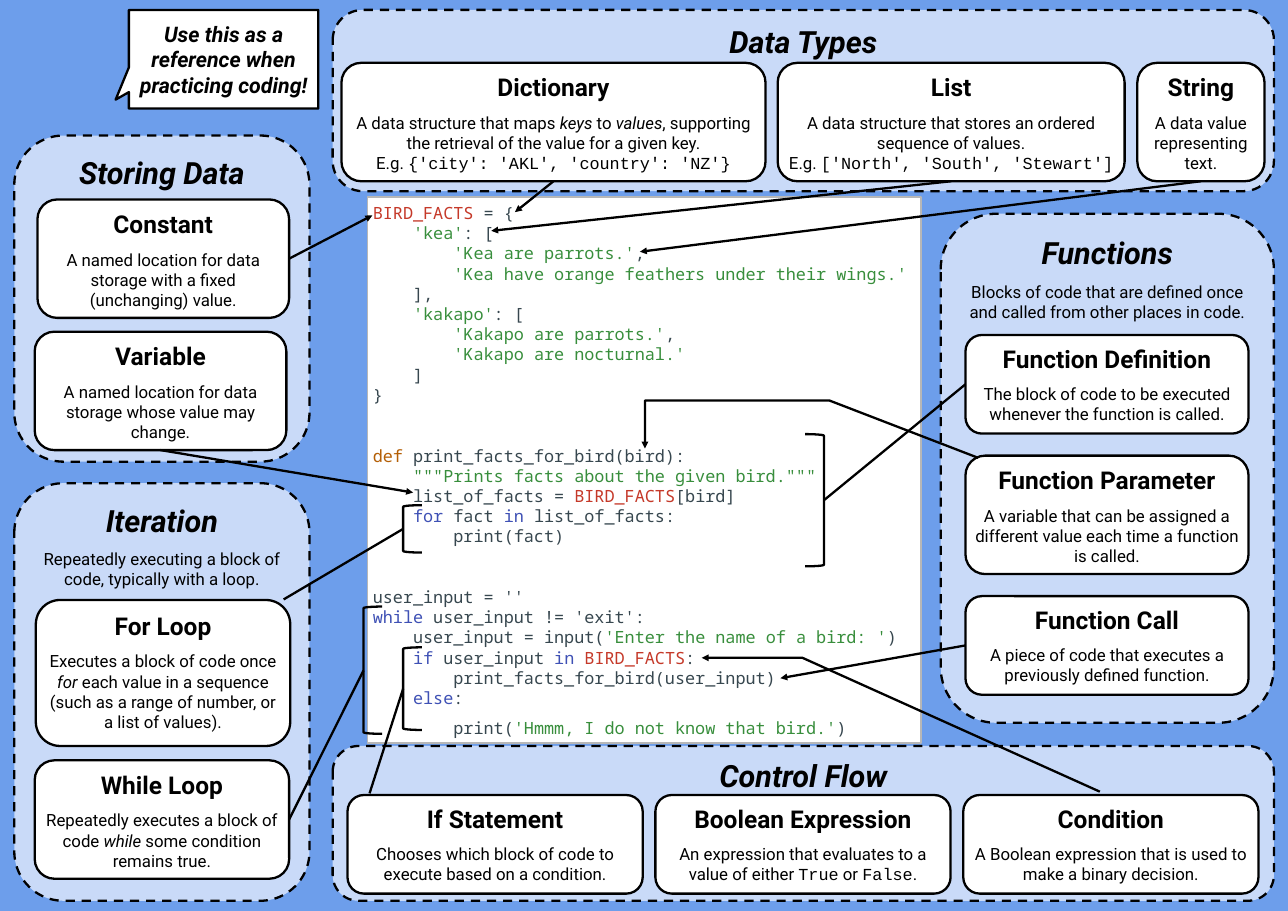
from lxml.etree import SubElement
from pptx import Presentation
from pptx.dml.color import RGBColor
from pptx.enum.dml import MSO_LINE
from pptx.enum.shapes import MSO_CONNECTOR, MSO_SHAPE
from pptx.enum.text import MSO_ANCHOR, PP_ALIGN
from pptx.oxml.ns import qn
from pptx.util import Inches, Pt

A2 = (594 / 25.4, 420 / 25.4)
BLACK, WHITE, BACK, PALE, GREY = "000000", "FFFFFF", "6D9EEB", "C9DAF8", "B7B7B7"
PLAIN, GREEN, RED, BROWN, BLUE = "37474F", "388E3C", "C53929", "B45F06", "3F51B5"
WORDS = {"BIRD_FACTS": RED, "def": BROWN}
TOP, LEFT, BOTTOM, RIGHT = range(4)

# Bars enclose the coloured parts of each line.
CODE = """|BIRD_FACTS| = {
    |'kea'|: [
        |'Kea are parrots.'|,
        |'Kea have orange feathers under their wings.'|
    ],
    |'kakapo'|: [
        |'Kakapo are parrots.'|,
        |'Kakapo are nocturnal.'|
    ]
}

|def| print_facts_for_bird(bird):
    |\"\"\"Prints facts about the given bird.\"\"\"|
    list_of_facts = |BIRD_FACTS|[bird]
    |for| fact |in| list_of_facts:
        print(fact)

user_input = ''
|while| user_input != 'exit':
    user_input = input(|'Enter the name of a bird: '|)
    |if| user_input |in| |BIRD_FACTS|:
        print_facts_for_bird(user_input)
    |else|:
        print(|'Hmmm, I do not know that bird.'|)"""

# Asterisks enclose italics, backticks enclose fixed-width text.
CARDS = [
    ("Dictionary", (6.2, 1.14, 7.7, 2.15),
     ["A data structure that maps *keys* to *values*, supporting the retrieval of the value for a given key.",
      "E.g. `{'city': 'AKL', 'country': 'NZ'}`"]),
    ("List", (14.12, 1.14, 6.3, 2.15),
     ["A data structure that stores an ordered sequence of values.",
      "E.g. `['North', 'South', 'Stewart']`"]),
    ("String", (20.65, 1.14, 2.31, 2.15), ["A data value representing text."]),
    ("Constant", (0.68, 3.62, 4.57, 2.15),
     ["A named location for data storage with a fixed (unchanging) value."]),
    ("Variable", (0.63, 6.02, 4.57, 2.15),
     ["A named location for data storage whose value may change."]),
    ("For Loop", (0.65, 10.89, 4.62, 2.65),
     ["Executes a block of code once *for* each value in a sequence "
      "(such as a range of number, or a list of values)."]),
    ("While Loop", (0.63, 13.8, 4.62, 2.15),
     ["Repeatedly executes a block of code *while* some condition remains true."]),
    ("Function Definition", (17.53, 6.08, 5.14, 1.79),
     ["The block of code to be executed whenever the function is called."]),
    ("Function Parameter", (17.53, 8.27, 5.14, 2.15),
     ["A variable that can be assigned a different value each time a function is called."]),
    ("Function Call", (17.53, 10.82, 5.14, 1.79),
     ["A piece of code that executes a previously defined function."]),
]
FLOW = [
    ("If Statement", "Chooses which block of code to execute based on a condition."),
    ("Boolean Expression", "An expression that evaluates to a value of either `True` or `False`."),
    ("Condition", "A Boolean expression that is used to make a binary decision."),
]
PANELS = [
    ("Control Flow", (6.04, 13.54, 17.09, 2.81), []),
    ("Functions", (17.08, 3.88, 6.05, 9.24),
     ["Blocks of code that are defined once and called from other places in code."]),
    ("Data Types", (6.04, 0.18, 17.09, 3.29), []),
    ("Iteration", (0.26, 8.77, 5.36, 7.58),
     ["Repeatedly executing a block of code, typically with a loop."]),
    ("Storing Data", (0.26, 2.46, 5.36, 5.92), []),
]
LINKS = [
    ("While Loop", RIGHT, (6.6, 12.17), False),
    ("Variable", BOTTOM, (7.5, 8.94), True),
    ("Constant", RIGHT, (6.76, 3.91), True),
    ("Dictionary", BOTTOM, (9.35, 3.85), True),
    ("List", BOTTOM, (8.92, 4.19), True),
    ("String", BOTTOM, (11.62, 4.57), True),
    ("Function Call", LEFT, (14.17, 12.31), True),
    ("Function Definition", LEFT, (14.96, 9.08), False),
]


def paint(hue):
    return RGBColor.from_string(hue)


def units(nums):
    return [Inches(n) for n in nums]


class Sheet:
    font, mono, fixed = "Roboto", "Courier New", "Noto Sans Mono"
    size, pen = 22, 3

    def __init__(self, slide):
        self.shapes = slide.shapes

    def trim(self, item, hue=BLACK, width=pen, head=False):
        """Set the outline and, if asked, an arrowhead at its end."""
        item.line.color.rgb = paint(hue)
        item.line.width = Pt(width)
        if head:
            line = item._element.spPr.find(qn("a:ln"))
            SubElement(line, qn("a:tailEnd"), type="triangle")

    def shape(self, kind, box, fill=None, **trim):
        item = self.shapes.add_shape(kind, *units(box))
        item.shadow.inherit = False
        if fill:
            item.fill.solid()
            item.fill.fore_color.rgb = paint(fill)
        else:
            item.fill.background()
        self.trim(item, **trim)
        return item

    def frame(self, item, pad=0.07, anchor=MSO_ANCHOR.TOP):
        text = item.text_frame
        text.word_wrap = True
        text.vertical_anchor = anchor
        text.margin_left = text.margin_right = Inches(pad)
        text.margin_top = text.margin_bottom = Inches(pad)
        return text

    def style(self, para, size, name=font, hue=BLACK, align=PP_ALIGN.CENTER):
        para.alignment = align
        font = para.font
        font.size, font.name, font.color.rgb = Pt(size), name, paint(hue)
        return font

    def title(self, text, words, size, slant):
        para = text.paragraphs[0]
        para.text = words
        font = self.style(para, size)
        font.bold, font.italic = True, slant

    def body(self, text, lines):
        for at, line in enumerate(lines):
            para = text.add_paragraph()
            if at == 0:
                para.space_before = Pt(14)
            self.style(para, self.size)
            mark = "`" if "`" in line else "*"
            for turn, part in enumerate(line.split(mark)):
                run = para.add_run()
                run.text = part
                if turn % 2 and mark == "`":
                    run.font.name = self.mono
                elif turn % 2:
                    run.font.italic = True

    def panel(self, name, box, lines):
        item = self.shape(MSO_SHAPE.ROUNDED_RECTANGLE, box, PALE)
        item.line.dash_style = MSO_LINE.DASH
        text = self.frame(item)
        self.title(text, name, 40, True)
        self.body(text, lines)

    def card(self, name, box, lines):
        item = self.shape(MSO_SHAPE.ROUNDED_RECTANGLE, box, WHITE)
        text = self.frame(item)
        self.title(text, name, 32, False)
        self.body(text, lines)
        return item

    def code(self, box, lines):
        item = self.shape(MSO_SHAPE.RECTANGLE, box, WHITE, hue=GREY, width=2.25)
        text = self.frame(item, 0.1)
        para, gap = text.paragraphs[0], False
        for at, line in enumerate(lines):
            if not line:
                gap = True
                continue
            if at:
                para = text.add_paragraph()
            if gap:
                para.space_before = Pt(53)
            gap = False
            self.style(para, self.size, self.fixed, PLAIN, PP_ALIGN.LEFT)
            for turn, part in enumerate(line.split("|")):
                if part:
                    run = para.add_run()
                    run.text = part
                    if turn % 2:
                        hue = GREEN if part[0] in "'\"" else WORDS.get(part, BLUE)
                        run.font.color.rgb = paint(hue)
        para.line_spacing = 1.5

    def link(self, start, end, head=False, card=None, side=None):
        item = self.shapes.add_connector(MSO_CONNECTOR.STRAIGHT, *units(start + end))
        if card:
            item.begin_connect(card, side)
        self.trim(item, head=head)
        SubElement(item._element.spPr, qn("a:effectLst"))

    def route(self, start, *bends):
        """Draw a bent arrow through the given points."""
        pen = self.shapes.build_freeform(*units(start), scale=1.0)
        pen.add_line_segments([units(bend) for bend in bends], close=False)
        item = pen.convert_to_shape()
        item.shadow.inherit = False
        item.fill.background()
        self.trim(item, head=True)


def main():
    deck = Presentation()
    deck.slide_width, deck.slide_height = units(A2)
    slide = deck.slides.add_slide(deck.slide_layouts[6])
    slide.background.fill.solid()
    slide.background.fill.fore_color.rgb = paint(BACK)
    sheet = Sheet(slide)
    for panel in PANELS:
        sheet.panel(*panel)
    sheet.code((6.67, 3.58, 10.05, 9.91), CODE.split("\n"))
    cards = {card[0]: sheet.card(*card) for card in CARDS}
    for at, (name, line) in enumerate(FLOW):
        sheet.card(name, (6.31 + 5.59 * at, 14.43, 5.36, 1.79), [line])
    for name, side, end, head in LINKS:
        sheet.link((0, 0), end, head, cards[name], side)
    sheet.link((5.15, 10.88), (7.32, 9.6))
    sheet.link((6.71, 14.4), (7.32, 12.5))
    for x, y, high in ((6.6, 11.01, 2.31), (7.32, 9.17, 0.86), (7.32, 11.75, 1.5)):
        sheet.shape(MSO_SHAPE.LEFT_BRACKET, (x, y, 0.34, high))
    sheet.shape(MSO_SHAPE.RIGHT_BRACKET, (14.62, 7.88, 0.34, 2.4))
    sheet.route((19.97, 14.37), (14.57, 11.94), (12.74, 11.94))
    sheet.route((17.76, 8.31), (15.06, 7.27), (11.71, 7.27), (11.71, 8.14))
    call = sheet.shape(MSO_SHAPE.RECTANGULAR_CALLOUT, (2.34, 0.18, 3.44, 1.79), WHITE)
    call.adjustments[0], call.adjustments[1] = -0.57, 0.41
    text = sheet.frame(call, anchor=MSO_ANCHOR.MIDDLE)
    sheet.title(text, "Use this as a reference when practicing coding!", 28, True)
    deck.save("out.pptx")


if __name__ == "__main__":
    main()
